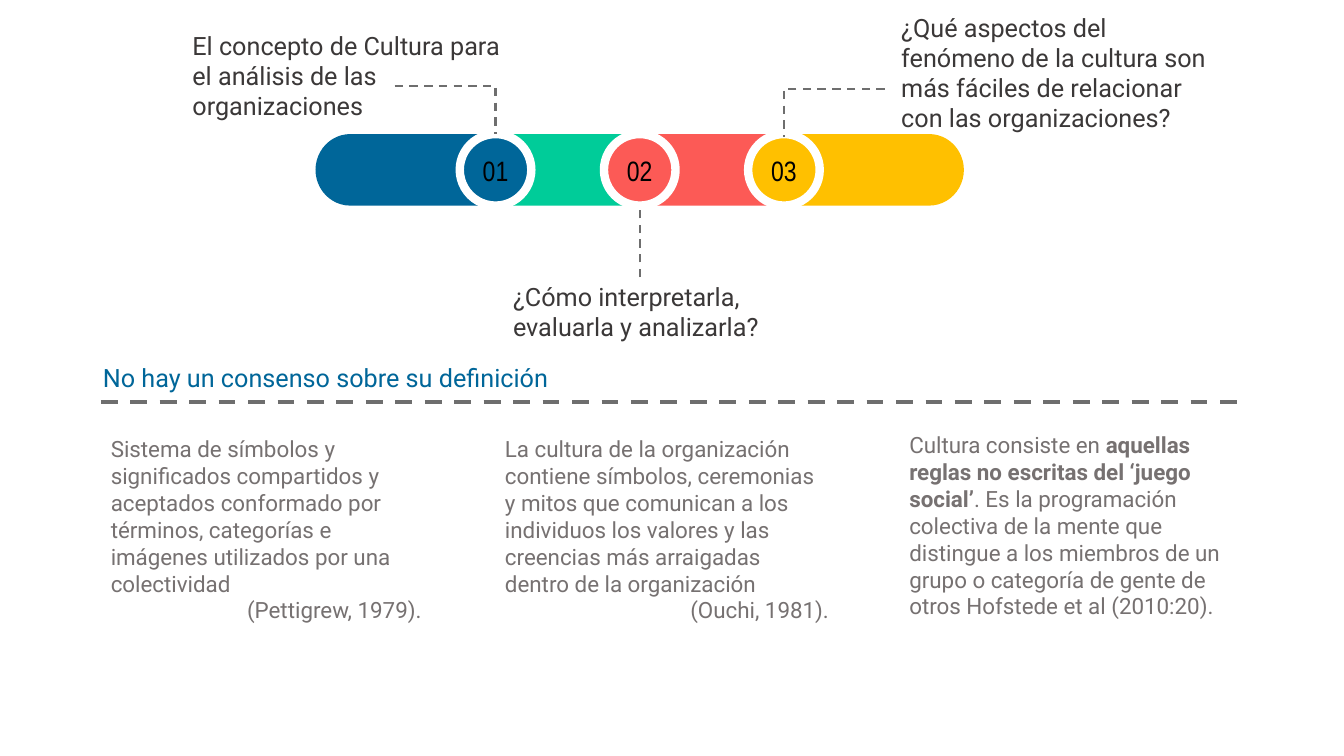
import pptx
import pptx.util
import pptx.dml.color
import pptx.enum.dml
import pptx.enum.shapes
import pptx.enum.text
import pptx.oxml.ns
from lxml import etree

Inches, Pt = pptx.util.Inches, pptx.util.Pt
RGBColor = pptx.dml.color.RGBColor
MSO_SHAPE = pptx.enum.shapes.MSO_SHAPE
MSO_CONNECTOR = pptx.enum.shapes.MSO_CONNECTOR
MSO_ANCHOR = pptx.enum.text.MSO_ANCHOR
MSO_AUTO_SIZE = pptx.enum.text.MSO_AUTO_SIZE
PP_ALIGN = pptx.enum.text.PP_ALIGN
qn = pptx.oxml.ns.qn

BLUE = RGBColor(0x00, 0x66, 0x99)
GREEN = RGBColor(0x00, 0xCC, 0x99)
RED = RGBColor(0xFC, 0x5A, 0x56)
YELLOW = RGBColor(0xFF, 0xC0, 0x00)
WHITE = RGBColor(0xFF, 0xFF, 0xFF)
BLACK = RGBColor(0x00, 0x00, 0x00)
DARK = RGBColor(0x3B, 0x38, 0x38)
GREY = RGBColor(0x76, 0x71, 0x71)
LINE_GREY = RGBColor(0x6E, 0x6E, 0x6E)

HEADING = "No hay un consenso sobre su definición"
SEGMENT_COLORS = [BLUE, GREEN, RED, YELLOW]
STEPS = [("01", BLUE), ("02", RED), ("03", YELLOW)]

# Text: (left, top, width, height), text
QUESTIONS = [
    ((1.81, 0.25, 3.38, 1.01),
     "El concepto de Cultura para el análisis de las organizaciones"),
    ((4.99, 2.74, 3.33, 0.71),
     "¿Cómo interpretarla, evaluarla y analizarla?"),
    ((8.84, 0.07, 3.33, 1.31),
     "¿Qué aspectos del fenómeno de la cultura son más fáciles de "
     "relacionar con las organizaciones?"),
]
# Definitions: box, runs as (text, bold), source set to the right
DEFINITIONS = [
    ((1, 4.27, 3.28, 2.02),
     [("Sistema de símbolos y significados compartidos y aceptados conformado "
       "por términos, categorías e imágenes utilizados por una colectividad", False)],
     "(Pettigrew, 1979)."),
    ((4.91, 4.27, 3.41, 2.02),
     [("La cultura de la organización contiene símbolos, ceremonias y mitos que "
       "comunican a los individuos los valores y las creencias más arraigadas "
       "dentro de la organización", False)],
     "(Ouchi, 1981)."),
    ((8.92, 4.23, 3.41, 1.99),
     [("Cultura consiste en ", False),
      ("aquellas reglas no escritas del ‘juego social’", True),
      (". Es la programación colectiva de la mente que distingue a los miembros "
       "de un grupo o categoría de gente de otros Hofstede et al (2010:20).", False)],
     None),
]

BAR_LEFT, BAR_TOP = 3.13, 1.33
SEGMENT_WIDTH, BAR_HEIGHT = 2.14, 0.71
STEP_PITCH = SEGMENT_WIDTH - BAR_HEIGHT


def add_run(paragraph, text, size, color, bold=False, font="Roboto"):
    run = paragraph.add_run()
    run.text = text
    run.font.name = font
    run.font.size = Pt(size)
    run.font.bold = bold
    run.font.color.rgb = color


def add_text_frame(slide, box):
    frame = slide.shapes.add_textbox(*map(Inches, box)).text_frame
    frame.word_wrap = True
    frame.auto_size = MSO_AUTO_SIZE.SHAPE_TO_FIT_TEXT
    return frame


def add_filled(slide, preset, left, width, color):
    """Add a plain shape standing on the step bar."""
    shape = slide.shapes.add_shape(preset, Inches(left), Inches(BAR_TOP),
                                   Inches(width), Inches(BAR_HEIGHT))
    shape.shadow.inherit = False
    shape.fill.solid()
    shape.fill.fore_color.rgb = color
    shape.line.fill.background()
    return shape


def add_dashed(slide, start, end, width, kind=MSO_CONNECTOR.STRAIGHT):
    connector = slide.shapes.add_connector(kind, *map(Inches, start + end))
    connector.line.color.rgb = LINE_GREY
    connector.line.width = Pt(width)
    connector.line.dash_style = pptx.enum.dml.MSO_LINE.DASH
    properties = connector._element.spPr
    etree.SubElement(properties, qn("a:effectLst"))
    if kind == MSO_CONNECTOR.ELBOW:  # a single corner: across, then down
        properties.find(qn("a:prstGeom")).set("prst", "bentConnector2")


def add_heading(slide):
    title = slide.shapes.title
    title.left, title.top, title.width, title.height = map(
        Inches, (0.92, 3.54, 4.68, 0.4))
    frame = title.text_frame
    frame.word_wrap = False
    frame.auto_size = MSO_AUTO_SIZE.SHAPE_TO_FIT_TEXT
    frame.vertical_anchor = MSO_ANCHOR.TOP
    frame.paragraphs[0].alignment = PP_ALIGN.LEFT
    add_run(frame.paragraphs[0], HEADING, 18, BLUE)


def add_step_bar(slide):
    for i, color in enumerate(SEGMENT_COLORS):
        add_filled(slide, MSO_SHAPE.FLOWCHART_TERMINATOR,
                   BAR_LEFT + i * STEP_PITCH, SEGMENT_WIDTH, color)
    centers = []
    for i, (number, color) in enumerate(STEPS):
        left = BAR_LEFT + (i + 1) * STEP_PITCH
        circle = add_filled(slide, MSO_SHAPE.OVAL, left, BAR_HEIGHT, color)
        circle.line.color.rgb = WHITE
        circle.line.width = Pt(6)
        frame = circle.text_frame
        frame.margin_left = frame.margin_right = 0
        frame.margin_top = frame.margin_bottom = 0
        frame.vertical_anchor = MSO_ANCHOR.MIDDLE
        frame.paragraphs[0].alignment = PP_ALIGN.CENTER
        add_run(frame.paragraphs[0], number, 20, BLACK, font="Arial Narrow")
        centers.append(left + BAR_HEIGHT / 2)
    return centers


def main():
    deck = pptx.Presentation()
    deck.slide_width, deck.slide_height = Inches(13.33), Inches(7.5)
    slide = deck.slides.add_slide(deck.slide_layouts[5])

    add_heading(slide)
    first, second, third = add_step_bar(slide)
    add_dashed(slide, (first - 1, 0.85), (first, 1.33), 1.5, MSO_CONNECTOR.ELBOW)
    add_dashed(slide, (second, 2.75), (second, BAR_TOP + BAR_HEIGHT), 1.5)
    add_dashed(slide, (third + 1, 0.88), (third, 1.36), 1.5, MSO_CONNECTOR.ELBOW)
    add_dashed(slide, (1, 3.99), (12.33, 3.99), 3)

    for box, question in QUESTIONS:
        add_run(add_text_frame(slide, box).paragraphs[0], question, 18, DARK)

    for box, runs, citation in DEFINITIONS:
        frame = add_text_frame(slide, box)
        for text, bold in runs:
            add_run(frame.paragraphs[0], text, 16, GREY, bold)
        if citation:
            paragraph = frame.add_paragraph()
            paragraph.alignment = PP_ALIGN.RIGHT
            add_run(paragraph, citation, 16, GREY)

    deck.save("out.pptx")


if __name__ == "__main__":
    main()
